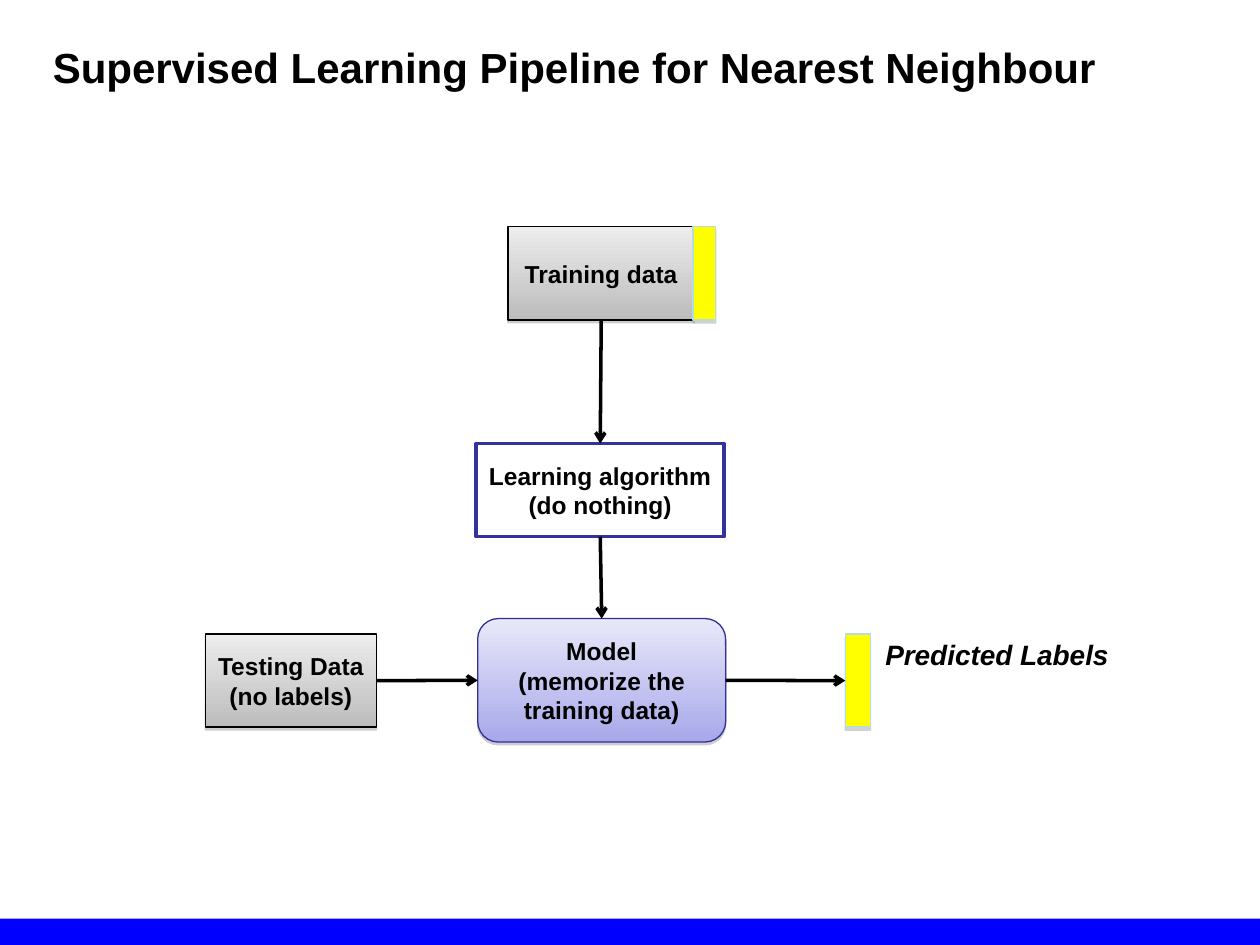
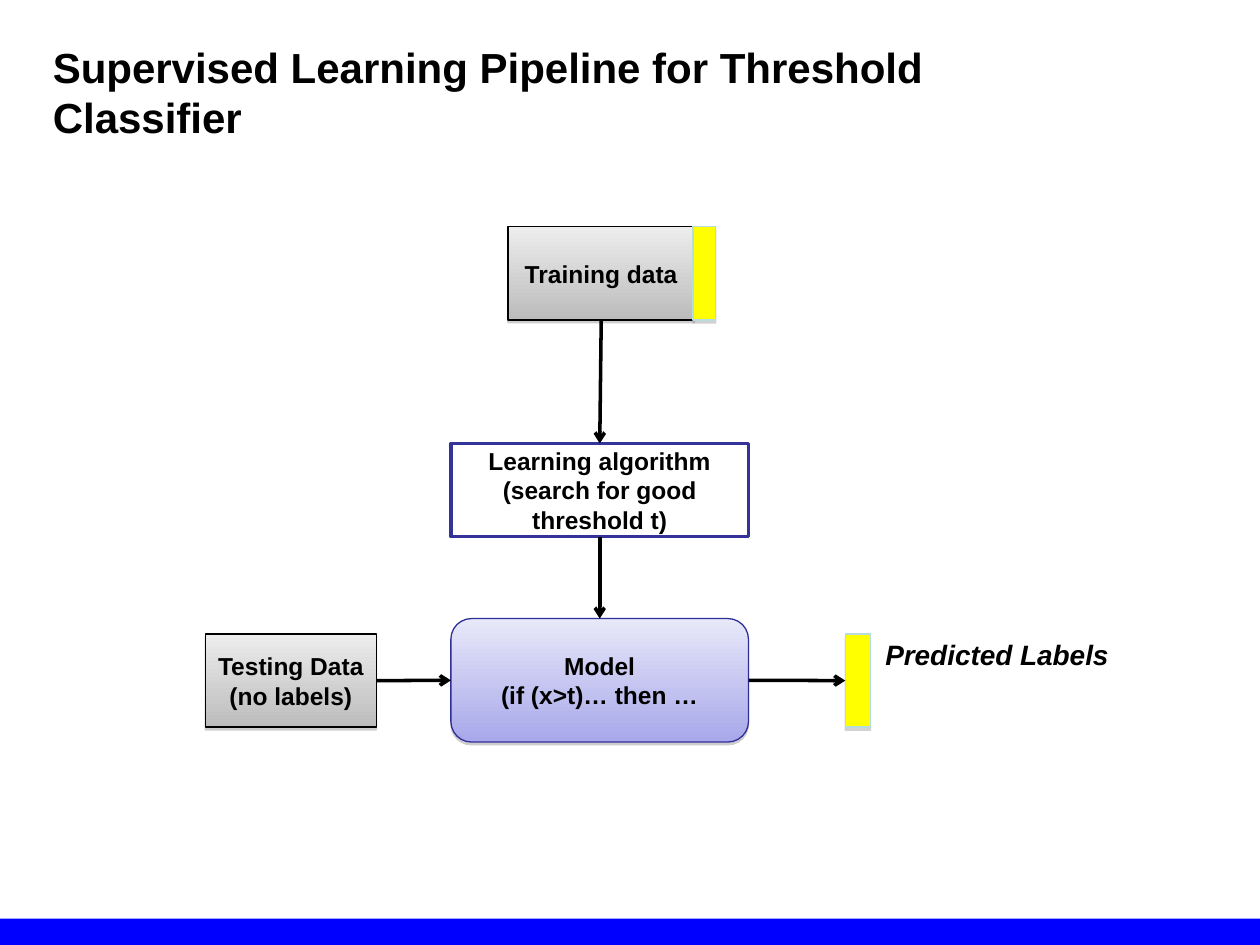
from lxml import etree
from pptx import Presentation
from pptx.dml.color import RGBColor
from pptx.enum.shapes import MSO_CONNECTOR, MSO_SHAPE
from pptx.enum.text import MSO_ANCHOR, MSO_AUTO_SIZE, PP_ALIGN
from pptx.oxml import parse_xml
from pptx.oxml.ns import qn
from pptx.util import Cm, Pt

RECT, ROUND = MSO_SHAPE.RECTANGLE, MSO_SHAPE.ROUNDED_RECTANGLE
STRAIGHT = MSO_CONNECTOR.STRAIGHT
TOP, MIDDLE = MSO_ANCHOR.TOP, MSO_ANCHOR.MIDDLE
LEFT, CENTER = PP_ALIGN.LEFT, PP_ALIGN.CENTER
NO_FIT = MSO_AUTO_SIZE.NONE
SITE_TOP, SITE_LEFT, SITE_BOTTOM, SITE_RIGHT = range(4)

COLORS = {
    "band": "0000FF", "text": "000000", "shadow": "808080",
    "data_top": "EDEDED", "data_bottom": "BCBCBC", "data_line": "000000",
    "model_top": "E8E8FA", "model_bottom": "A8A8EA", "model_line": "2F2F98",
    "algorithm": "FFFFFF", "algorithm_line": "333399",
    "labels": "FFFF00", "labels_line": "B6DCDF",
}
RGB = {name: RGBColor.from_string(value) for name, value in COLORS.items()}

STYLES = {
    "data": (["data_top", "data_bottom"], "data_line", 0.75, (38, 1.6)),
    "model": (["model_top", "model_bottom"], "model_line", 0.75, (38, 1.6)),
    "algorithm": (["algorithm"], "algorithm_line", 2, None),
    "labels": (["labels"], "labels_line", 0.75, (35, 1.8)),
}

SHADOW = (
    '<a:effectLst xmlns:a="http://schemas.openxmlformats.org/drawingml/2006/main">'
    '<a:outerShdw blurRad="0" dist="{dist}" dir="5400000" algn="ctr" rotWithShape="0">'
    '<a:srgbClr val="{color}"><a:alpha val="{alpha}"/></a:srgbClr>'
    "</a:outerShdw></a:effectLst>"
)

SLIDES = [
    {
        "title": "Supervised Learning Pipeline for Nearest Neighbour",
        "algorithm": "Learning algorithm\n(do nothing)",
        "model": "Model\n(memorize the training data)",
        "algorithm_left": 9.6, "model_left": 9.63, "width": 5,
    },
    {
        "title": "Supervised Learning Pipeline for Threshold Classifier",
        "algorithm": "Learning algorithm\n(search for good threshold t)",
        "model": "Model\n(if (x>t)… then …",
        "algorithm_left": 9.09, "model_left": 9.09, "width": 6,
    },
]


def write(sp, text, size, align, anchor, wrap=True, italic=None):
    tf = sp.text_frame
    tf.text = text
    tf.word_wrap = wrap
    tf.auto_size = NO_FIT
    tf.vertical_anchor = anchor
    for p in tf.paragraphs:
        p.alignment = align
        for r in p.runs:
            r.font.name = "Arial"
            r.font.size = Pt(size)
            r.font.bold = True
            r.font.italic = italic
            r.font.color.rgb = RGB["text"]


def add_box(s, style, left, top, width, height, text="", shape=RECT):
    fills, line, weight, shadow = STYLES[style]
    sp = s.shapes.add_shape(shape, Cm(left), Cm(top), Cm(width), Cm(height))
    sp.shadow.inherit = False
    if len(fills) == 2:
        sp.fill.gradient()
        sp.fill.gradient_angle = 270
        for stop, position, name in zip(sp.fill.gradient_stops, (0, 1), fills):
            stop.position = position
            stop.color.rgb = RGB[name]
    else:
        sp.fill.solid()
        sp.fill.fore_color.rgb = RGB[fills[0]]
    sp.line.color.rgb = RGB[line]
    sp.line.width = Pt(weight)
    if shadow:
        alpha, dist = shadow
        effects = sp.element.spPr.find(qn("a:effectLst"))
        effects.getparent().replace(effects, parse_xml(SHADOW.format(
            dist=Pt(dist), color=COLORS["shadow"], alpha=alpha * 1000)))
    if text:
        write(sp, text, 14, CENTER, MIDDLE)
    return sp


prs = Presentation()
prs.slide_width, prs.slide_height = Cm(25.4), Cm(19.05)
layout = prs.slide_layouts[5]

for i, content in enumerate(SLIDES):
    s = prs.slides.add_slide(layout)

    if i == 0:
        band = s.shapes.add_shape(RECT, 0, Cm(18.52), prs.slide_width, Cm(0.6))
        band.shadow.inherit = False
        band.fill.solid()
        band.fill.fore_color.rgb = RGB["band"]
        band.line.fill.background()
        prs.slide_master.shapes.element.append(band.element)

    title = s.shapes.title
    title.left, title.top, title.width, title.height = Cm(0.81), Cm(0.71), Cm(22.1), Cm(1.27)
    write(title, content["title"], 24, LEFT, TOP, wrap=False)

    width = content["width"]
    model = add_box(s, "model", content["model_left"], 12.47, width, 2.49, content["model"], ROUND)
    testing = add_box(s, "data", 4.14, 12.78, 3.45, 1.88, "Testing Data\n(no labels)")
    training = add_box(s, "data", 10.24, 4.57, 3.76, 1.88, "Training data")
    add_box(s, "labels", 13.97, 4.57, 0.46, 1.88)
    predicted = add_box(s, "labels", 17.04, 12.78, 0.51, 1.88)
    algorithm = add_box(s, "algorithm", content["algorithm_left"], 8.94, width, 1.88, content["algorithm"])

    for start, start_site, end, end_site in [
        (training, SITE_BOTTOM, algorithm, SITE_TOP),
        (algorithm, SITE_BOTTOM, model, SITE_TOP),
        (testing, SITE_RIGHT, model, SITE_LEFT),
        (model, SITE_RIGHT, predicted, SITE_LEFT),
    ]:
        arrow = s.shapes.add_connector(STRAIGHT, 0, 0, 0, 0)
        arrow.begin_connect(start, start_site)
        arrow.end_connect(end, end_site)
        arrow.line.color.rgb = RGB["text"]
        arrow.line.width = Pt(2)
        etree.SubElement(arrow.line._get_or_add_ln(), qn("a:tailEnd"), type="arrow")
        etree.SubElement(arrow.element.spPr, qn("a:effectLst"))

    caption = s.shapes.add_textbox(Cm(17.6), Cm(12.73), Cm(5), Cm(0.94))
    write(caption, "Predicted Labels", 16, CENTER, TOP, wrap=False, italic=True)

prs.save("out.pptx")
